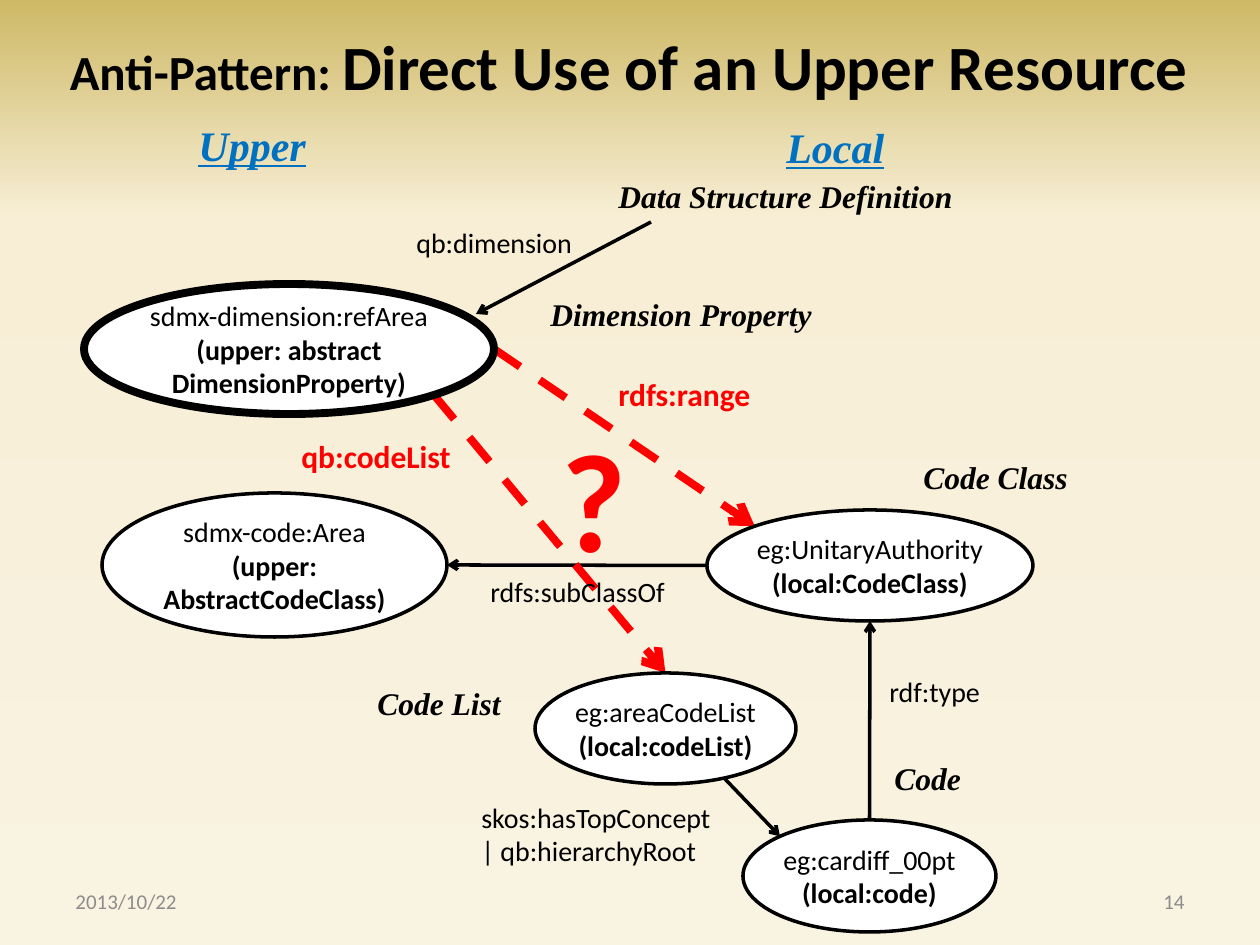
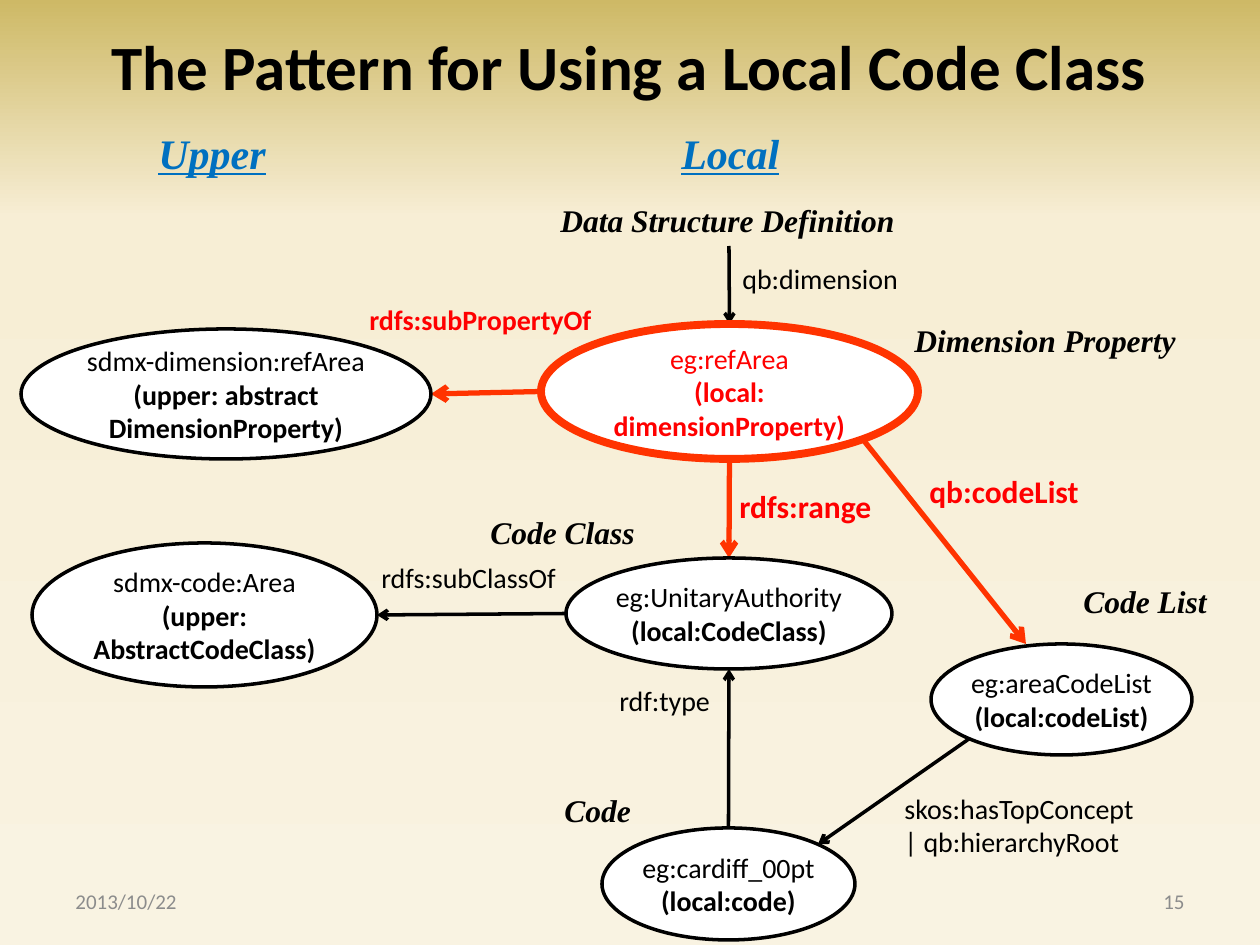
from dataclasses import dataclass
from enum import IntEnum
from math import cos, pi, sin

import pptx
import pptx.dml.color
import pptx.enum.dml
import pptx.enum.shapes
import pptx.enum.text
import pptx.oxml
import pptx.oxml.ns
import pptx.util
from lxml import etree

RGB = pptx.dml.color.RGBColor
Align = pptx.enum.text.PP_ALIGN
qn = pptx.oxml.ns.qn

# Colours and fonts
BLACK = RGB(0x00, 0x00, 0x00)
WHITE = RGB(0xFF, 0xFF, 0xFF)
RED = RGB(0xFF, 0x00, 0x00)
ORANGE = RGB(0xFF, 0x33, 0x00)
BLUE = RGB(0x00, 0x70, 0xC0)
GREY = RGB(0x8C, 0x8C, 0x8C)
GOLD = RGB(0xCE, 0xB9, 0x66)
SAND = RGB(0xF7, 0xEE, 0xD5)
CREAM = RGB(0xF9, 0xF3, 0xE2)
SANS = "Calibri"
SERIF = "Times New Roman"

# Backdrop stops: place in percent, colour, opacity in percent
STOPS = ((0, GOLD, 100), (23, SAND, 77), (100, CREAM, 100))
WIDE, HIGH = 1260, 945


def emu(px: float) -> int:
    """Turn px (126 to the inch) into EMU."""
    return round(px * 914400 / 126)


class Site(IntEnum):
    """Points on an ellipse, counted anticlockwise from the top."""
    TOP = 0
    TOP_LEFT = 1
    LEFT = 2
    LOW_LEFT = 3
    LOW = 4
    LOW_RIGHT = 5
    RIGHT = 6
    TOP_RIGHT = 7


@dataclass(frozen=True)
class Style:
    size: int
    font: str = SANS
    ink: RGB = BLACK
    bold: bool = False
    slant: bool = False
    under: bool = False
    wrap: bool = True


@dataclass(frozen=True)
class Pen:
    ink: RGB = BLACK
    width: float = 2
    dash: bool = False


@dataclass(frozen=True)
class Node:
    text: str
    width: int
    height: int
    ink: RGB = BLACK


@dataclass(frozen=True)
class Label:
    width: int
    height: int
    style: Style


@dataclass(frozen=True)
class Spot:
    name: str
    x: int
    y: int
    pen: Pen = Pen()


# An arrow ends at a site of a node or at a free point
End = tuple[str, Site] | tuple[int, int]


@dataclass(frozen=True)
class Arrow:
    start: End
    stop: End
    pen: Pen = Pen()


@dataclass(frozen=True)
class Page:
    number: int
    title: tuple[tuple[str, int], ...]
    nodes: tuple[Spot, ...]
    arrows: tuple[Arrow, ...]
    labels: tuple[tuple[str, int, int], ...]


# Text styles and pens
SIDE = Style(24, SERIF, BLUE, bold=True, slant=True, under=True, wrap=False)
ROLE = Style(18, SERIF, bold=True, slant=True, wrap=False)
LINK = Style(16)
ALERT = Style(18, ink=RED, bold=True)
FOOT = Style(12, ink=GREY)
THICK = Pen(width=4.5)
RING = Pen(ORANGE, 4.5)
STRONG = Pen(ORANGE, 3)
DASHED = Pen(RED, 4.5, dash=True)

# Ellipses: first line plain, the others bold
NODES = {
    "upper": Node("sdmx-dimension:refArea\n(upper: abstract DimensionProperty)", 410, 130),
    "local": Node("eg:refArea\n(local:\ndimensionProperty)", 377, 135, RED),
    "area": Node("sdmx-code:Area\n(upper:\nAbstractCodeClass)", 345, 144),
    "class": Node("eg:UnitaryAuthority\n(local:CodeClass)", 326, 111),
    "list": Node("eg:areaCodeList\n(local:codeList)", 261, 111),
    "code": Node("eg:cardiff_00pt\n(local:code)", 253, 112),
}

LABELS = {
    "Upper": Label(134, 63, SIDE),
    "Local": Label(125, 63, SIDE),
    "Data Structure Definition": Label(363, 50, ROLE),
    "Dimension Property": Label(290, 50, ROLE),
    "Code Class": Label(171, 50, ROLE),
    "Code List": Label(150, 50, ROLE),
    "Code": Label(92, 50, ROLE),
    "qb:dimension": Label(205, 47, LINK),
    "rdfs:subClassOf": Label(205, 47, LINK),
    "rdf:type": Label(122, 47, LINK),
    "skos:hasTopConcept\n| qb:hierarchyRoot": Label(267, 81, LINK),
    "rdfs:subPropertyOf": Label(258, 47, Style(16, ink=RED, bold=True)),
    "rdfs:range": Label(164, 50, ALERT),
    "qb:codeList": Label(204, 50, ALERT),
    "?": Label(91, 183, Style(80, ink=RED, bold=True, wrap=False)),
}

# Arrows that both slides share
SHARED = (
    Arrow(("code", Site.TOP), ("class", Site.LOW)),
    Arrow(("class", Site.LEFT), ("area", Site.RIGHT)),
)

PAGES = (
    Page(
        14,
        (("Anti-Pattern: ", 28), ("Direct Use of an Upper Resource", 36)),
        (Spot("code", 743, 820), Spot("list", 535, 673), Spot("class", 707, 510),
         Spot("area", 102, 493), Spot("upper", 84, 284, THICK)),
        SHARED + (
            Arrow((725, 779), ("code", Site.TOP_LEFT)),
            Arrow(("upper", Site.RIGHT), ("class", Site.TOP_LEFT), DASHED),
            Arrow(("upper", Site.LOW_RIGHT), ("list", Site.TOP), DASHED),
            Arrow((651, 222), (476, 314)),
        ),
        (("Upper", 186, 113), ("Local", 774, 115),
         ("Data Structure Definition", 606, 171), ("Dimension Property", 538, 289),
         ("Code Class", 911, 452), ("Code List", 365, 678), ("Code", 882, 753),
         ("?", 549, 406), ("qb:dimension", 404, 219), ("rdfs:range", 606, 369),
         ("qb:codeList", 289, 431), ("rdfs:subClassOf", 478, 568),
         ("rdf:type", 877, 668), ("skos:hasTopConcept\n| qb:hierarchyRoot", 469, 794)),
    ),
    Page(
        15,
        (("The Pattern for Using a Local Code Class", 36),),
        (Spot("code", 602, 828), Spot("upper", 21, 329), Spot("local", 541, 324, RING),
         Spot("list", 931, 644), Spot("class", 566, 558), Spot("area", 32, 543)),
        SHARED + (
            Arrow(("local", Site.LOW_RIGHT), (1026, 644), STRONG),
            Arrow(("local", Site.LOW), ("class", Site.TOP), STRONG),
            Arrow(("local", Site.LEFT), ("upper", Site.RIGHT), STRONG),
            Arrow(("list", Site.LOW_LEFT), ("code", Site.TOP_RIGHT)),
            Arrow((729, 246), ("local", Site.TOP)),
        ),
        (("Upper", 146, 121), ("Local", 669, 121),
         ("Data Structure Definition", 548, 195), ("Dimension Property", 902, 315),
         ("Code Class", 478, 507), ("Code List", 1071, 576), ("Code", 552, 785),
         ("qb:dimension", 730, 255), ("rdfs:subPropertyOf", 357, 296),
         ("rdfs:range", 727, 481), ("qb:codeList", 917, 466),
         ("rdfs:subClassOf", 369, 554), ("rdf:type", 607, 677),
         ("skos:hasTopConcept\n| qb:hierarchyRoot", 892, 785)),
    ),
)


def paint(master) -> None:
    """Give the master the gold backdrop."""
    fill = master.background.fill
    fill.gradient()
    fill.gradient_angle = 270
    stops = master.element.find(".//" + qn("a:gsLst"))
    for old in list(stops):
        stops.remove(old)
    for place, tint, solid in STOPS:
        stop = etree.SubElement(stops, qn("a:gs"), pos=str(place * 1000))
        mark = etree.SubElement(stop, qn("a:srgbClr"), val=str(tint))
        if solid < 100:
            etree.SubElement(mark, qn("a:alpha"), val=str(solid * 1000))


def dress(run, style: Style) -> None:
    font = run.font
    font.name, font.size = style.font, pptx.util.Pt(style.size)
    font.bold, font.italic, font.underline = style.bold, style.slant, style.under
    font.color.rgb = style.ink


def write(slide, text: str, box: tuple[int, int, int, int], style: Style,
          align=Align.LEFT, grow: bool = True):
    """Add a text box and return its frame."""
    frame = slide.shapes.add_textbox(*map(emu, box)).text_frame
    frame.text = text
    frame.word_wrap = style.wrap
    if grow:
        frame.auto_size = pptx.enum.text.MSO_AUTO_SIZE.SHAPE_TO_FIT_TEXT
    else:
        frame.vertical_anchor = pptx.enum.text.MSO_ANCHOR.MIDDLE
    for para in frame.paragraphs:
        para.alignment = align
        for run in para.runs:
            dress(run, style)
    return frame


def stroke(line, pen: Pen) -> None:
    line.color.rgb = pen.ink
    line.width = pptx.util.Pt(pen.width)
    if pen.dash:
        line.dash_style = pptx.enum.dml.MSO_LINE.DASH


def locate(end: End, spots: dict[str, Spot]) -> tuple[float, float]:
    """Find the point where an arrow ends."""
    if not isinstance(end[0], str):
        return end
    spot, node = spots[end[0]], NODES[end[0]]
    turn = end[1] * pi / 4
    return (spot.x + node.width / 2 * (1 - sin(turn)),
            spot.y + node.height / 2 * (1 - cos(turn)))


def draw_arrow(slide, arrow: Arrow, spots: dict[str, Spot]):
    ends = locate(arrow.start, spots) + locate(arrow.stop, spots)
    link = slide.shapes.add_connector(
        pptx.enum.shapes.MSO_CONNECTOR.STRAIGHT, *map(emu, ends))
    stroke(link.line, arrow.pen)
    props = link.element.spPr
    etree.SubElement(props.find(qn("a:ln")), qn("a:tailEnd"), type="arrow")
    etree.SubElement(props, qn("a:effectLst"))
    return link


def draw_node(slide, spot: Spot):
    node = NODES[spot.name]
    shape = slide.shapes.add_shape(
        pptx.enum.shapes.MSO_SHAPE.OVAL,
        *map(emu, (spot.x, spot.y, node.width, node.height)))
    shape.shadow.inherit = False
    shape.fill.solid()
    shape.fill.fore_color.rgb = WHITE
    stroke(shape.line, spot.pen)
    frame = shape.text_frame
    frame.margin_left = frame.margin_right = 0
    frame.word_wrap = True
    frame.vertical_anchor = pptx.enum.text.MSO_ANCHOR.MIDDLE
    frame.text = node.text
    for row, para in enumerate(frame.paragraphs):
        para.alignment = Align.CENTER
        dress(para.runs[0], Style(16, ink=node.ink, bold=row > 0))
    return shape


def build(deck, page: Page) -> None:
    slide = deck.slides.add_slide(deck.slide_layouts[6])

    # Arrows lie under the ellipses and are joined at their tops
    spots = {spot.name: spot for spot in page.nodes}
    links = [draw_arrow(slide, arrow, spots) for arrow in page.arrows]
    shapes = {name: draw_node(slide, spot) for name, spot in spots.items()}
    for arrow, link in zip(page.arrows, links):
        for end, join in ((arrow.start, link.begin_connect), (arrow.stop, link.end_connect)):
            if end[1] is Site.TOP:
                join(shapes[end[0]], 0)

    # Labels
    for text, x, y in page.labels:
        label = LABELS[text]
        write(slide, text, (x, y, label.width, label.height), label.style)

    # Title
    (first, size), *rest = page.title
    frame = write(slide, first, (3, 21, 1252, 89), Style(size, bold=True), Align.CENTER)
    for text, size in rest:
        run = frame.paragraphs[0].add_run()
        run.text = text
        dress(run, Style(size, bold=True))

    # Footer
    write(slide, "2013/10/22", (63, 876, 294, 50), FOOT, grow=False)
    write(slide, str(page.number), (903, 876, 294, 50), FOOT, Align.RIGHT, grow=False)


def main() -> None:
    deck = pptx.Presentation()
    deck.slide_width, deck.slide_height = emu(WIDE), emu(HIGH)
    paint(deck.slide_master)
    for page in PAGES:
        build(deck, page)
    deck.save("out.pptx")


if __name__ == "__main__":
    main()
